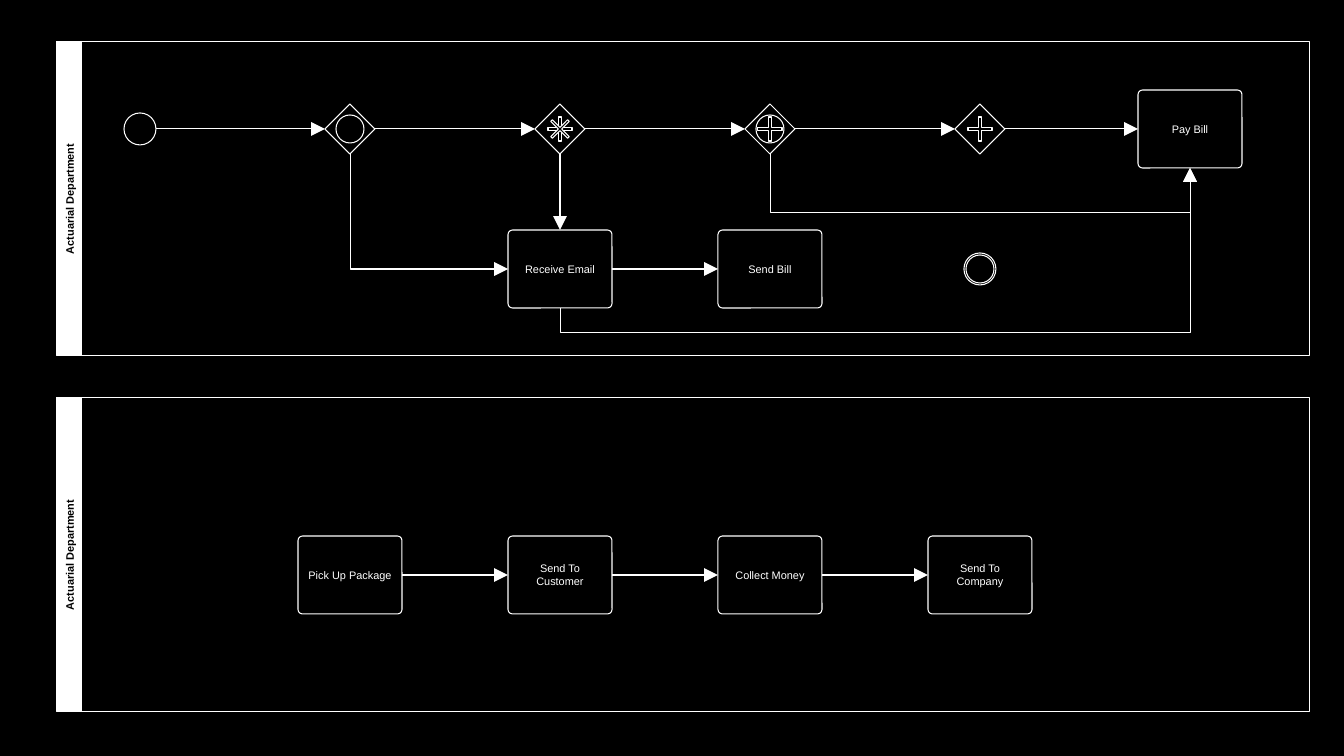
from dataclasses import dataclass
from lxml import etree
from pptx import Presentation
from pptx.dml.color import RGBColor
from pptx.enum.shapes import MSO_CONNECTOR as CONNECTOR, MSO_SHAPE as SHAPE
from pptx.enum.text import MSO_ANCHOR as ANCHOR, PP_ALIGN as ALIGN
from pptx.oxml.ns import qn
from pptx.util import Pt


@dataclass(frozen=True)
class Theme:
    black: RGBColor = RGBColor(0, 0, 0)
    white: RGBColor = RGBColor(255, 255, 255)
    font: str = "Arial"
    text_size: float = 7.8
    line_width: float = 0.75


theme = Theme()
EMU_PER_PX = 914400 / 100.8


def px(value):
    return round(value * EMU_PER_PX)


def add_node(kind, center_x, center_y, width, height, fill=None, adjustment=None, label="", upright=False):
    """Outlined shape around a center; an upright label reads bottom to top in bold."""
    shape = slide.shapes.add_shape(kind, px(center_x - width / 2), px(center_y - height / 2), px(width), px(height))
    shape.shadow.inherit = False
    if fill is None:
        shape.fill.background()
    else:
        shape.fill.solid()
        shape.fill.fore_color.rgb = fill
    shape.line.color.rgb = theme.white
    shape.line.width = Pt(theme.line_width)
    if adjustment is not None:
        shape.adjustments[0] = adjustment
    if label:
        frame = shape.text_frame
        frame.word_wrap = True
        frame.vertical_anchor = ANCHOR.MIDDLE
        frame.margin_left = frame.margin_right = px(7)
        frame.margin_top = frame.margin_bottom = 0
        if upright:
            shape.element.txBody.bodyPr.set("vert", "vert270")
        paragraph = frame.paragraphs[0]
        paragraph.alignment = ALIGN.CENTER
        run = paragraph.add_run()
        run.text = label
        run.font.name = theme.font
        run.font.size = Pt(theme.text_size)
        run.font.bold = upright
        run.font.color.rgb = theme.black if upright else theme.white
    return shape


presentation = Presentation()
presentation.slide_width, presentation.slide_height = px(1344), px(756)
slide = presentation.slides.add_slide(presentation.slide_layouts[6])
slide.background.fill.solid()
slide.background.fill.fore_color.rgb = theme.black

# Grid shared by both lanes
columns = [140 + 210 * index for index in range(6)]
GATEWAY_ROW, EMAIL_ROW, DELIVERY_ROW = 129, 269, 575
TASK_WIDTH, TASK_HEIGHT, GATEWAY = 104, 78, 50

# Lanes: white title strip and outlined body
LANE_LEFT, STRIP_WIDTH, BODY_WIDTH, LANE_HEIGHT = 57, 25, 1228, 314
for lane_top in (42, 398):
    middle = lane_top + LANE_HEIGHT / 2
    add_node(SHAPE.ROUNDED_RECTANGLE, LANE_LEFT + STRIP_WIDTH / 2, middle, STRIP_WIDTH, LANE_HEIGHT,
             theme.white, 0, "Actuarial Department", upright=True)
    add_node(SHAPE.ROUNDED_RECTANGLE, LANE_LEFT + STRIP_WIDTH + BODY_WIDTH / 2, middle,
             BODY_WIDTH, LANE_HEIGHT, adjustment=0)

# Tasks
tasks = {}
for label, column, row in (
    ("Pay Bill", 5, GATEWAY_ROW),
    ("Receive Email", 2, EMAIL_ROW),
    ("Send Bill", 3, EMAIL_ROW),
    ("Pick Up Package", 1, DELIVERY_ROW),
    ("Send To Customer", 2, DELIVERY_ROW),
    ("Collect Money", 3, DELIVERY_ROW),
    ("Send To Company", 4, DELIVERY_ROW),
):
    tasks[label] = add_node(SHAPE.ROUNDED_RECTANGLE, columns[column], row, TASK_WIDTH, TASK_HEIGHT,
                            adjustment=0.057, label=label)

# Start event and double-ringed end event
start_event = add_node(SHAPE.OVAL, columns[0], GATEWAY_ROW, 32, 32, theme.black)
for diameter in (32, 28):
    add_node(SHAPE.OVAL, columns[4], EMAIL_ROW, diameter, diameter)

# Gateways: a ring and the angles of the plus signs inside each
gateways = []
for center_x, has_ring, plus_angles in zip(
    columns[1:5], (True, False, True, False), ((), (0, 45), (0,), (0,))
):
    gateways.append(add_node(SHAPE.DIAMOND, center_x, GATEWAY_ROW, GATEWAY, GATEWAY, theme.black))
    if has_ring:
        add_node(SHAPE.OVAL, center_x, GATEWAY_ROW, 28, 28, theme.black)
    for angle in plus_angles:
        plus = add_node(SHAPE.CROSS, center_x, GATEWAY_ROW, 24, 24, theme.black, 0.45)
        plus.rotation = angle

# Straight flows, joined at the middle of the sides
TOP, LEFT, BOTTOM, RIGHT = range(4)
chains = (
    (*gateways, tasks["Pay Bill"]),
    (tasks["Receive Email"], tasks["Send Bill"]),
    [tasks[label] for label in ("Pick Up Package", "Send To Customer", "Collect Money", "Send To Company")],
)
joins = [(source, RIGHT, target, LEFT) for chain in chains for source, target in zip(chain, chain[1:])]
joins.append((gateways[1], BOTTOM, tasks["Receive Email"], TOP))
flows = []
for source, source_side, target, target_side in joins:
    flow = slide.shapes.add_connector(CONNECTOR.STRAIGHT, 0, 0, 0, 0)
    flow.begin_connect(source, source_side)
    flow.end_connect(target, target_side)
    flows.append(flow)
start_flow = slide.shapes.add_connector(
    CONNECTOR.STRAIGHT, start_event.left + start_event.width, px(GATEWAY_ROW), gateways[0].left, px(GATEWAY_ROW))
start_flow.end_connect(gateways[0], LEFT)
flows.append(start_flow)

# Elbow flows leave downwards: start, end and the height of the horizontal run
gateway_bottom = GATEWAY_ROW + GATEWAY // 2
pay_bottom = GATEWAY_ROW + TASK_HEIGHT // 2
email_bottom = EMAIL_ROW + TASK_HEIGHT // 2
for start_x, start_y, end_x, end_y, run_y in (
    (columns[1], gateway_bottom, columns[2] - TASK_WIDTH // 2, EMAIL_ROW, EMAIL_ROW),
    (columns[2], email_bottom, columns[5], pay_bottom, 333),
    (columns[3], gateway_bottom, columns[5], pay_bottom, 212),
):
    # The frame is turned a quarter, so its width is the vertical reach
    width, height = abs(end_y - start_y), end_x - start_x
    left, top = (start_x + end_x - width) / 2, (start_y + end_y - height) / 2
    flow = slide.shapes.add_connector(CONNECTOR.ELBOW, px(left), px(top), px(left + width), px(top + height))
    properties = flow.element.spPr
    rising = end_y < start_y
    properties.xfrm.set("rot", str((90 if rising else 270) * 60000))
    properties.xfrm.set("flipH", "1")
    if rising:
        properties.xfrm.set("flipV", "1")
    if run_y == end_y:
        properties.prstGeom.set("prst", "bentConnector2")
    else:
        bend = round((run_y - start_y) / (end_y - start_y) * 100000)
        properties.prstGeom.rewrite_guides([("adj1", bend)])
    flows.append(flow)

# Line style and large arrowhead on every flow
for flow in flows:
    flow.line.color.rgb = theme.white
    flow.line.width = Pt(theme.line_width)
    etree.SubElement(flow.line._get_or_add_ln(), qn("a:tailEnd"), type="triangle", w="lg", len="lg")
    etree.SubElement(flow.element.spPr, qn("a:effectLst"))

presentation.save("out.pptx")
